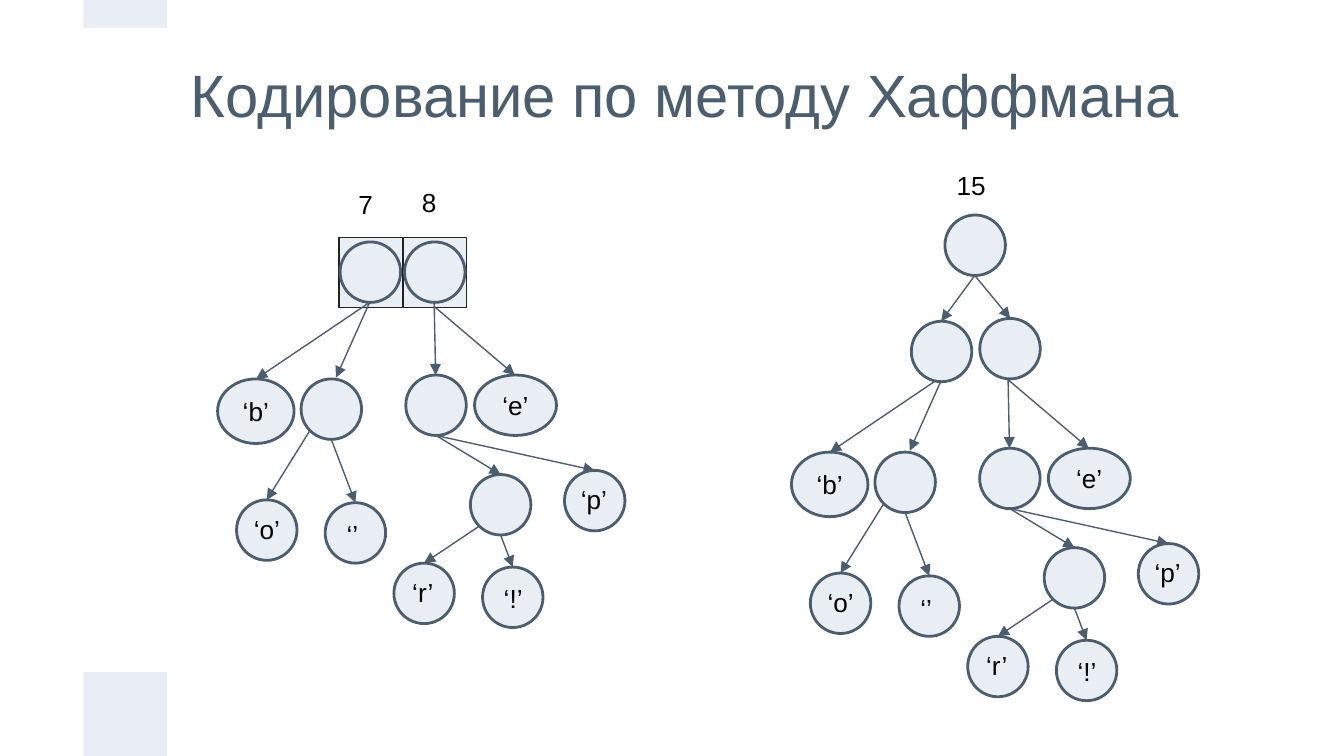
from math import sqrt

from lxml import etree
from pptx import Presentation
from pptx.dml.color import RGBColor
from pptx.enum.shapes import MSO_CONNECTOR, MSO_SHAPE
from pptx.enum.text import MSO_ANCHOR, PP_ALIGN
from pptx.oxml.ns import qn
from pptx.util import Pt

RECTANGLE, OVAL = MSO_SHAPE.RECTANGLE, MSO_SHAPE.OVAL
STRAIGHT = MSO_CONNECTOR.STRAIGHT
TOP, MIDDLE = MSO_ANCHOR.TOP, MSO_ANCHOR.MIDDLE
LEFT, CENTER = PP_ALIGN.LEFT, PP_ALIGN.CENTER

PALE = RGBColor(0xE9, 0xED, 0xF4)
SLATE = RGBColor(0x4C, 0x5D, 0x6E)
DARK = RGBColor(0x22, 0x22, 0x22)
BLACK = RGBColor(0, 0, 0)

FONT = "Arial"
INSET = 7.2
NODE = 32.4
LABEL_WIDTH = 33.84

TITLE = "Кодирование по методу Хаффмана"
TITLE_FRAME = (95, 5, 579, 90)
SIDE_BARS = [(44.7, 360, 44.7, 45), (44.7, 0, 44.7, 15)]
QUEUE_CELLS = [(181.6, 127.4, 34, 37.4), (215.8, 127.4, 34, 37.4)]
WEIGHTS = [("7", 185, 95.8), ("8", 218.9, 95), ("15", 505.4, 85.7)]

# name: left, top, width, height, inner text
NODES = {
    "b": (116.6, 203, 41, 34.6, "‘b’"),
    "o+space": (161.3, 203, NODE, NODE, ""),
    "o": (126.7, 267.8, NODE, NODE, ""),
    "space": (174.2, 269.3, NODE, NODE, ""),
    "r+!+p": (217.4, 200.9, NODE, NODE, ""),
    "e": (254.2, 200.9, 43.9, NODE, "‘e’"),
    "r+!": (252, 254.2, NODE, NODE, ""),
    "p": (302.4, 252, NODE, NODE, ""),
    "r": (211, 301.7, NODE, NODE, ""),
    "!": (258.5, 303.8, NODE, NODE, ""),
}
LEAF_LABELS = [
    ("‘’", 178.6, 270.7),
    ("‘o’", 128.9, 267.8),
    ("‘p’", 304.1, 251.6),
    ("‘!’", 262.8, 304.9),
    ("‘r’", 213.8, 301.7),
]
STEMS = [
    ((198, 162), (180, 202.3)),
    ((198, 162), (137.3, 203)),
    ((232.6, 162), (233.4, 200.9)),
    ((232.6, 164.2), (275.8, 200.9)),
]
BOTTOM_EDGES = [("o+space", "space"), ("r+!+p", "r+!"), ("r+!+p", "p"), ("r+!", "!")]
CORNER_EDGES = [("o+space", "o"), ("r+!", "r")]

TREE_OFFSETS = [(0, 0), (307.4, 39.2)]
SUBTREE_ROOTS = [(216.7, 129.6), (182.2, 129.6), (488.2, 172.1), (524.9, 170.6)]
TOP_ROOT = (506.2, 115.2)
TOP_EDGES = [((522.2, 147.6), (504.2, 172.1)), ((522.2, 147.6), (541.2, 170.6))]


def points(*values):
    return [Pt(round(value, 2)) for value in values]


def write(shape, text, size=14, color=BLACK, align=LEFT, anchor=MIDDLE):
    frame = shape.text_frame
    frame.word_wrap = True
    frame.vertical_anchor = anchor
    frame.margin_left = frame.margin_right = Pt(INSET)
    frame.margin_top = frame.margin_bottom = Pt(INSET)
    para = frame.paragraphs[0]
    para.text = text
    para.alignment = align
    para.font.name = FONT
    para.font.size = Pt(size)
    para.font.color.rgb = color


def add_label(text, left, top, height, anchor):
    box = slide.shapes.add_textbox(*points(left, top, LABEL_WIDTH, height))
    write(box, text, anchor=anchor)


def add_block(kind, frame, line_color=None, line_width=0):
    shape = slide.shapes.add_shape(kind, *points(*frame))
    shape.shadow.inherit = False
    shape.fill.solid()
    shape.fill.fore_color.rgb = PALE
    if line_color is None:
        shape.line.fill.background()
    else:
        shape.line.color.rgb = line_color
        shape.line.width = Pt(line_width)
    return shape


def add_node(left, top, width=NODE, height=NODE, text=""):
    node = add_block(OVAL, (left, top, width, height), SLATE, 1.5)
    if text:
        write(node, text, align=CENTER)


def add_arrow(start, end, dx=0, dy=0):
    ends = points(start[0] + dx, start[1] + dy, end[0] + dx, end[1] + dy)
    arrow = slide.shapes.add_connector(STRAIGHT, *ends)
    arrow.line.color.rgb = SLATE
    arrow.line.width = Pt(0.75)
    etree.SubElement(arrow.line._get_or_add_ln(), qn("a:tailEnd"), type="triangle")
    etree.SubElement(arrow._element.spPr, qn("a:effectLst"))


def top_of(name):
    left, top, width, height, text = NODES[name]
    return left + width / 2, top


def bottom_of(name):
    left, top, width, height, text = NODES[name]
    return left + width / 2, top + height


def lower_left_of(name):
    left, top, width, height, text = NODES[name]
    return left + width / 2 * (1 - sqrt(0.5)), top + height / 2 * (1 + sqrt(0.5))


def add_tree(dx, dy):
    for left, top, width, height, text in NODES.values():
        add_node(left + dx, top + dy, width, height, text)
    edges = STEMS + [(bottom_of(a), top_of(b)) for a, b in BOTTOM_EDGES]
    edges += [(lower_left_of(a), top_of(b)) for a, b in CORNER_EDGES]
    for start, end in edges:
        add_arrow(start, end, dx, dy)
    for text, left, top in LEAF_LABELS:
        add_label(text, left + dx, top + dy, 31.7, TOP)


deck = Presentation()
deck.slide_width, deck.slide_height = points(720, 405)
slide = deck.slides.add_slide(deck.slide_layouts[5])

for bar in SIDE_BARS:
    add_block(RECTANGLE, bar)
title = slide.shapes.title
title.left, title.top, title.width, title.height = points(*TITLE_FRAME)
write(title, TITLE, 32, SLATE)

for cell in QUEUE_CELLS:
    add_block(RECTANGLE, cell, DARK, 0.75)
for offset in TREE_OFFSETS:
    add_tree(*offset)
for root in SUBTREE_ROOTS + [TOP_ROOT]:
    add_node(*root)
for start, end in TOP_EDGES:
    add_arrow(start, end)
for text, left, top in WEIGHTS:
    add_label(text, left, top, 26.6, MIDDLE)

deck.save("out.pptx")
